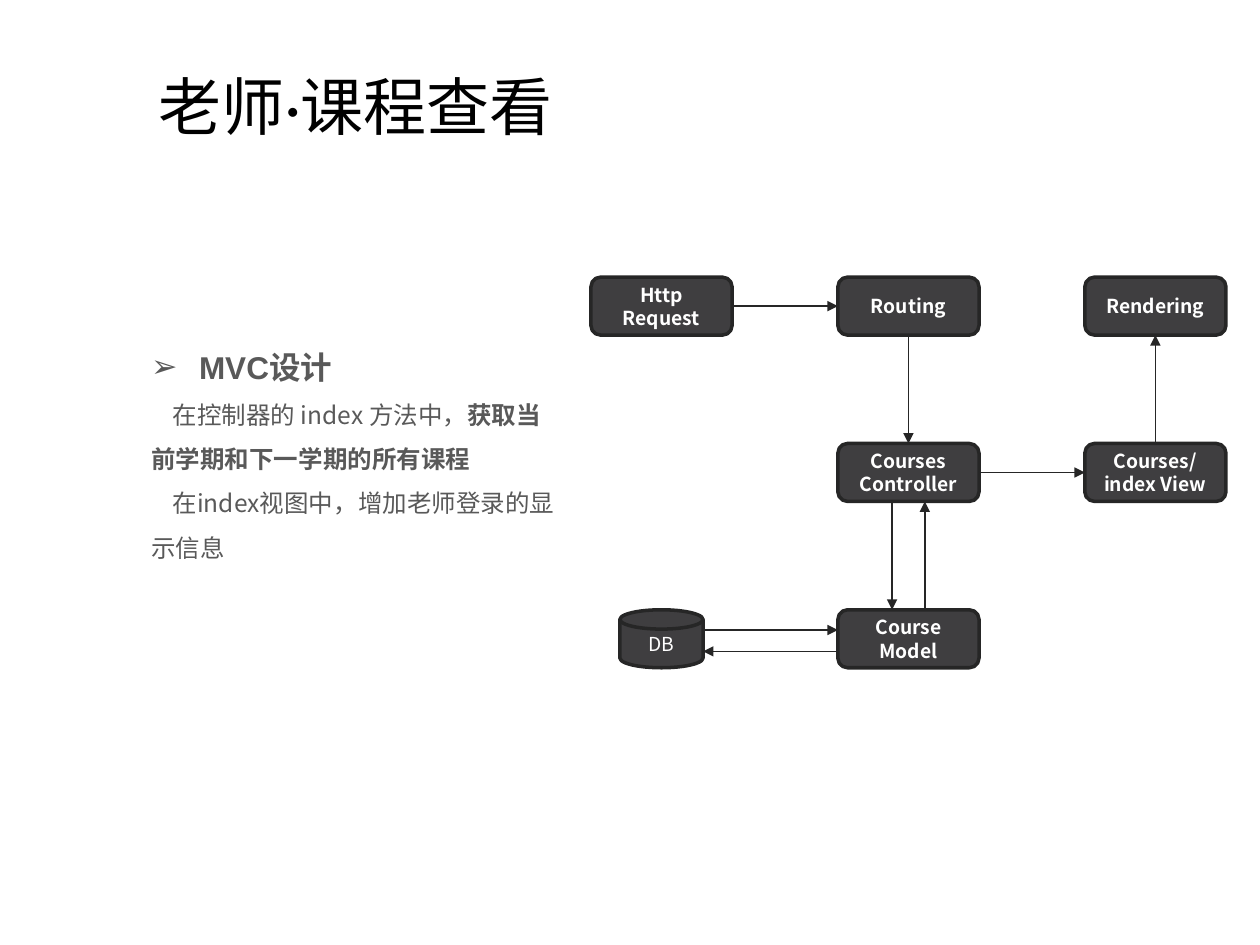
from pptx import Presentation
from pptx.dml.color import RGBColor
from pptx.enum.shapes import MSO_CONNECTOR, MSO_SHAPE
from pptx.enum.text import MSO_ANCHOR, MSO_AUTO_SIZE, PP_ALIGN
from pptx.oxml.ns import qn
from pptx.util import Inches, Pt
from lxml import etree

BLACK = RGBColor(0x00, 0x00, 0x00)
WHITE = RGBColor(0xFF, 0xFF, 0xFF)
GREY = RGBColor(0x59, 0x59, 0x59)
FILL = RGBColor(0x3F, 0x3E, 0x40)
EDGE = RGBColor(0x26, 0x26, 0x26)
SANS = "Noto Sans CJK SC"

BOX = MSO_SHAPE.FLOWCHART_ALTERNATE_PROCESS
DISK = MSO_SHAPE.FLOWCHART_MAGNETIC_DISK
STRAIGHT = MSO_CONNECTOR.STRAIGHT
CENTER, MIDDLE = PP_ALIGN.CENTER, MSO_ANCHOR.MIDDLE
TOP, LEFT, BOTTOM, RIGHT = range(4)

# Diagram grid: centre of the first cell, steps between cells, box size
X0, Y0, DX, DY = 5.25, 2.43, 1.96, 1.32
BOX_W, BOX_H, DISK_W = 1.12, 0.46, 0.66

# name: (column, row, paragraphs)
BOXES = {
    "request": (0, 0, ["Http Request"]),
    "routing": (1, 0, ["Routing"]),
    "rendering": (2, 0, ["Rendering"]),
    "view": (2, 1, ["Courses/index View"]),
    "controller": (1, 1, ["Courses", "Controller"]),
    "model": (1, 2, ["Course Model"]),
}
LINKS = [
    ("request", RIGHT, "routing", LEFT),
    ("routing", BOTTOM, "controller", TOP),
    ("controller", RIGHT, "view", LEFT),
    ("view", TOP, "rendering", BOTTOM),
]


def add_run(p, text, **fmt):
    r = p.add_run()
    r.text = text
    color = fmt.pop("color")
    for name, value in fmt.items():
        setattr(r.font, name, value)
    r.font.color.rgb = color
    etree.SubElement(r.font._element, qn("a:ea"), typeface=SANS)


def add_paragraph(tf, first):
    return tf.paragraphs[0] if first else tf.add_paragraph()


def center(col, row):
    return X0 + col * DX, Y0 + row * DY


def add_node(slide, kind, col, row, width, lines, bold):
    x, y = center(col, row)
    sp = slide.shapes.add_shape(kind, Inches(x - width / 2), Inches(y - BOX_H / 2),
                                Inches(width), Inches(BOX_H))
    sp.shadow.inherit = False
    sp.fill.solid()
    sp.fill.fore_color.rgb = FILL
    sp.line.color.rgb = EDGE
    sp.line.width = Pt(2)
    tf = sp.text_frame
    tf.word_wrap = True
    tf.vertical_anchor = MIDDLE
    for i, line in enumerate(lines):
        p = add_paragraph(tf, i == 0)
        p.alignment = CENTER
        add_run(p, line, size=Pt(11), name=SANS, color=WHITE, bold=bold)
    return sp


def add_arrow(slide, x1=0, y1=0, x2=0, y2=0):
    c = slide.shapes.add_connector(STRAIGHT, *map(Inches, (x1, y1, x2, y2)))
    c.line.color.rgb = EDGE
    c.line.width = Pt(1)
    etree.SubElement(c.line._get_or_add_ln(), qn("a:tailEnd"), type="triangle")
    etree.SubElement(c._element.spPr, qn("a:effectLst"))
    return c


def add_diagram(slide):
    nodes = {name: add_node(slide, BOX, col, row, BOX_W, lines, True)
             for name, (col, row, lines) in BOXES.items()}
    add_node(slide, DISK, 0, 2, DISK_W, ["DB"], False)

    for start, start_side, end, end_side in LINKS:
        c = add_arrow(slide)
        c.begin_connect(nodes[start], start_side)
        c.end_connect(nodes[end], end_side)

    # Two-way pairs around the model
    x, y = center(1, 2)
    above, top = y - DY + BOX_H / 2, y - BOX_H / 2
    add_arrow(slide, x - 0.13, above, x - 0.13, top)
    add_arrow(slide, x + 0.13, top, x + 0.13, above)
    disk_right, model_left = X0 + DISK_W / 2, x - BOX_W / 2
    add_arrow(slide, model_left, y + 0.1, disk_right, y + 0.1)
    add_arrow(slide, disk_right, y - 0.07, model_left, y - 0.07)


def add_textbox(slide, left, top, width, height):
    box = slide.shapes.add_textbox(*map(Inches, (left, top, width, height)))
    box.text_frame.word_wrap = True
    return box.text_frame


def add_title(slide):
    tf = add_textbox(slide, 0.03, 0.21, 5.59, 1.25)
    tf.vertical_anchor = MIDDLE
    p = tf.paragraphs[0]
    p.alignment = CENTER
    add_run(p, "老师·课程查看", size=Pt(36), name="Calibri", color=BLACK)


def set_indent(p, margin, indent):
    pPr = p._p.get_or_add_pPr()
    pPr.set("marL", str(Inches(margin)))
    pPr.set("indent", str(Inches(indent)))
    return pPr


def add_design_notes(slide):
    tf = add_textbox(slide, 1.13, 2.57, 3.39, 2.18)
    tf.auto_size = MSO_AUTO_SIZE.SHAPE_TO_FIT_TEXT
    tf.margin_left = tf.margin_right = Inches(0.07)
    tf.margin_top = tf.margin_bottom = Inches(0.04)

    p = tf.paragraphs[0]
    p.line_spacing = 1.5
    pPr = set_indent(p, 0.38, -0.38)
    etree.SubElement(pPr, qn("a:buFont"), typeface="Arial")
    etree.SubElement(pPr, qn("a:buChar"), char="➢")
    add_run(p, "MVC设计", size=Pt(18), name="Arial", color=GREY, bold=True)

    body = [
        [("在控制器的 index 方法中，", False),
         ("获取当前学期和下一学期的所有课程", True)],
        [("在index视图中，增加老师登录的显示信息", False)],
    ]
    for runs in body:
        p = add_paragraph(tf, False)
        p.line_spacing = 1.5
        set_indent(p, 0, 0.17)
        for text, bold in runs:
            add_run(p, text, size=Pt(14), name=SANS, color=GREY, bold=bold)


def main():
    prs = Presentation()
    prs.slide_width, prs.slide_height = Inches(10), Inches(7.5)
    slide = prs.slides.add_slide(prs.slide_layouts[6])
    add_design_notes(slide)
    add_diagram(slide)
    add_title(slide)
    prs.save("out.pptx")


if __name__ == "__main__":
    main()
